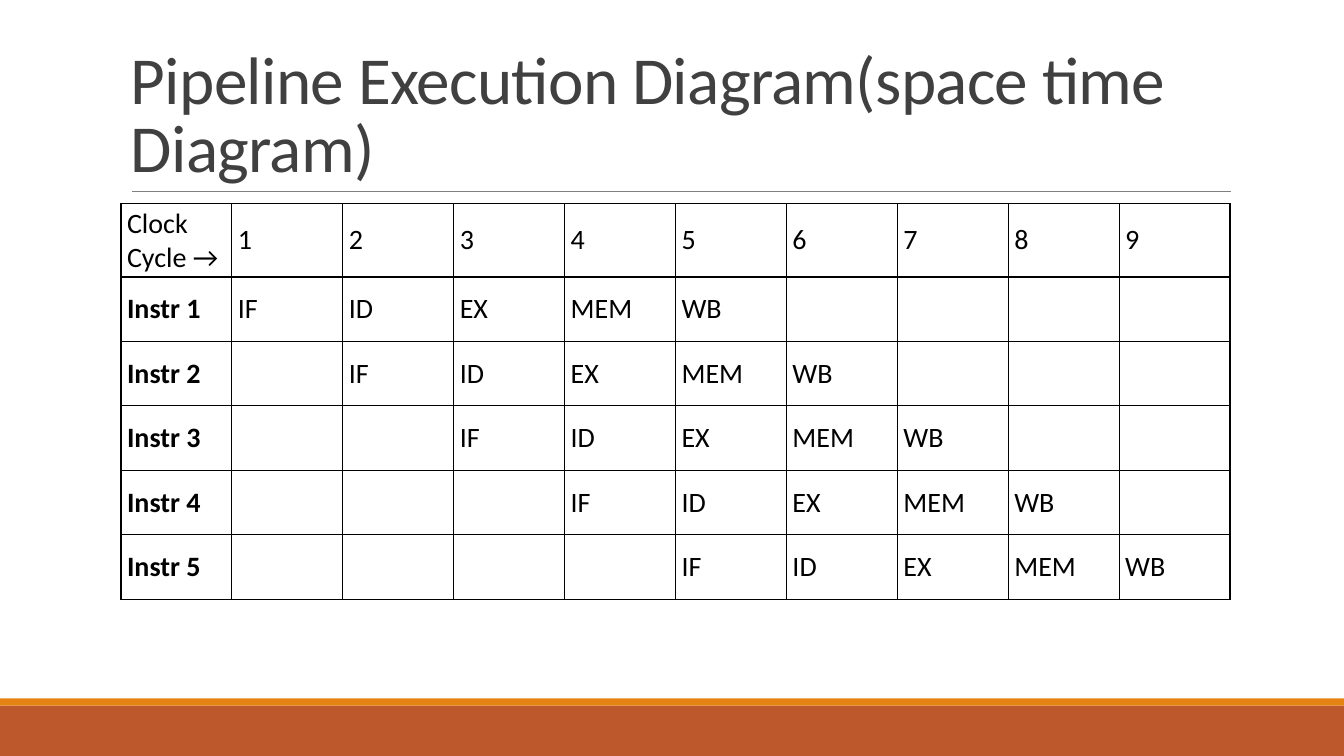
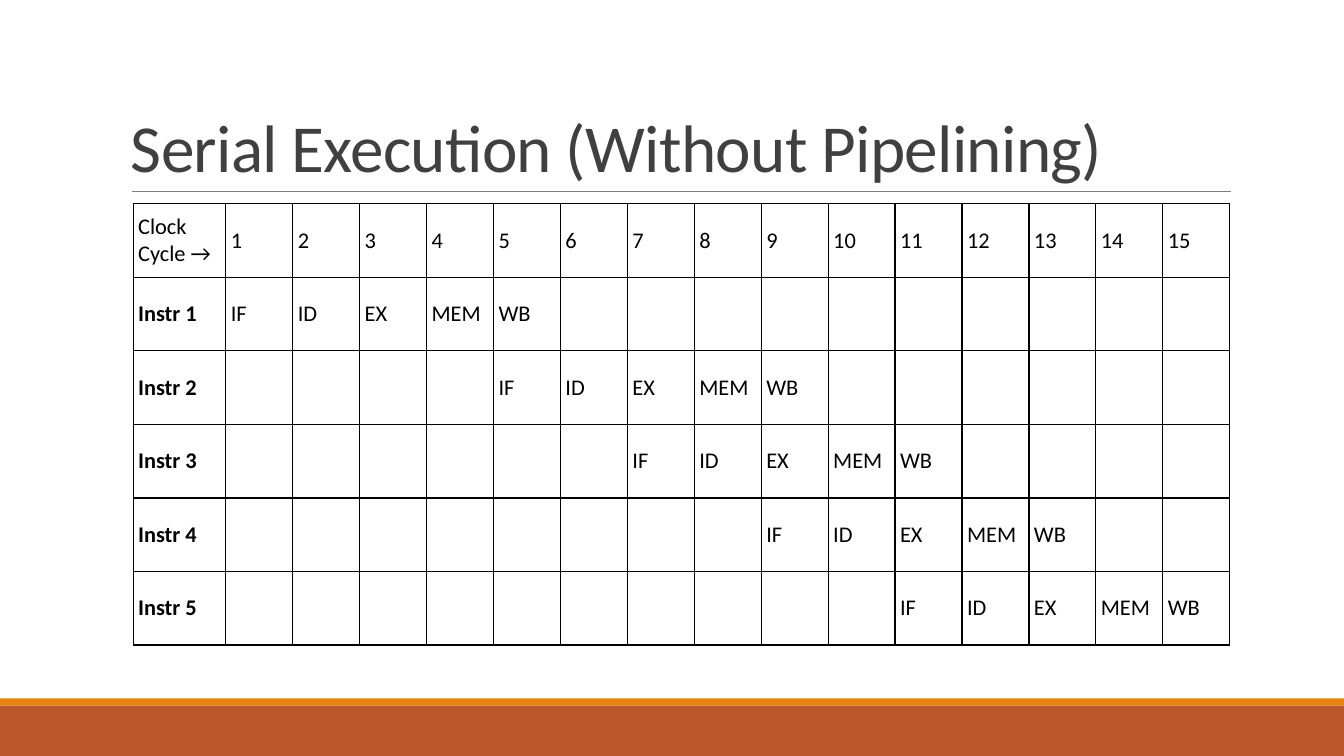
from lxml.etree import SubElement
from pptx import Presentation
from pptx.dml.color import RGBColor
from pptx.enum.shapes import MSO_CONNECTOR as Link, MSO_SHAPE as Shape
from pptx.enum.text import MSO_ANCHOR as Anchor
from pptx.oxml import parse_xml
from pptx.oxml.ns import nsdecls, qn
from pptx.util import Inches, Pt

STAGES = ["IF", "ID", "EX", "MEM", "WB"]


def color(code):
    return RGBColor.from_string(code)


class Deck:
    FONT = "Calibri"
    INK, TITLE, RULE, PAPER = "000000", "404040", "808080", "FFFFFF"
    RUST, AMBER = "BD582C", "E48312"
    WIDTH, HEIGHT = 13.33, 7.5

    def __init__(self):
        self.prs = Presentation()
        self.prs.slide_width = Inches(self.WIDTH)
        self.prs.slide_height = Inches(self.HEIGHT)
        self.slide = None

    def add(self, title):
        """Start a slide with the shared bands, rule and title."""
        self.slide = self.prs.slides.add_slide(self.prs.slide_layouts[6])
        self.band(7, 0.5, self.RUST)
        self.band(6.93, 0.07, self.AMBER)
        self.rule(1.31, 12.21, 1.9)
        self.title(title)

    def band(self, top, height, fill):
        box = self.slide.shapes.add_shape(
            Shape.RECTANGLE, 0, Inches(top), Inches(self.WIDTH), Inches(height))
        box.shadow.inherit = False
        box.fill.solid()
        box.fill.fore_color.rgb = color(fill)
        box.line.fill.background()

    def rule(self, left, right, top):
        line = self.slide.shapes.add_connector(
            Link.STRAIGHT, Inches(left), Inches(top), Inches(right), Inches(top))
        line.line.color.rgb = color(self.RULE)
        line.line.width = Pt(0.5)
        SubElement(line._element.spPr, qn("a:effectLst"))

    def style(self, para, size, ink, bold=False):
        for run in para.runs:
            font = run.font
            font.name, font.size, font.bold = self.FONT, Pt(size), bold
            font.color.rgb = color(ink)

    def title(self, text):
        box = self.slide.shapes.add_textbox(
            Inches(1.2), Inches(0.31), Inches(11), Inches(1.59))
        frame = box.text_frame
        frame.word_wrap = True
        frame.vertical_anchor = Anchor.BOTTOM
        frame.text = text
        para = frame.paragraphs[0]
        para.line_spacing = 0.85
        self.style(para, 48, self.TITLE)
        para.runs[0].font._element.set("spc", "-50")

    def border(self, cell):
        props = cell._tc.get_or_add_tcPr()
        for i, side in enumerate("LRTB"):
            props.insert(i, parse_xml(
                f'<a:ln{side} {nsdecls("a")} w="{Pt(1)}"><a:solidFill>'
                f'<a:srgbClr val="{self.INK}"/></a:solidFill></a:ln{side}>'))

    def cell(self, cell, text, size, pad, bold):
        cell.fill.solid()
        cell.fill.fore_color.rgb = color(self.PAPER)
        self.border(cell)
        cell.vertical_anchor = Anchor.MIDDLE
        cell.margin_left = cell.margin_right = Inches(pad)
        cell.margin_top = cell.margin_bottom = Inches(0.03)
        if text:
            cell.text_frame.text = text
            self.style(cell.text_frame.paragraphs[0], size, self.INK, bold)

    def chart(self, left, width, first, row, starts, size, pad):
        """Draw a table of stages by clock cycle; starts holds each first cycle."""
        count = starts[-1] + len(STAGES) - 1
        rows = [["Clock Cycle →", *map(str, range(1, count + 1))]]
        for num, start in enumerate(starts, 1):
            line = [f"Instr {num}"] + [""] * count
            line[start:start + len(STAGES)] = STAGES
            rows.append(line)
        table = self.slide.shapes.add_table(
            len(rows), count + 1, Inches(left), Inches(2.02),
            Inches(width), Inches(row * len(rows))).table
        table.first_row = table.horz_banding = False
        for i, col in enumerate(table.columns):
            col.width = Inches((width - first) / count if i else first)
        for r, line in enumerate(rows):
            table.rows[r].height = Inches(row)
            for c, text in enumerate(line):
                self.cell(table.cell(r, c), text, size, pad, r > 0 and c == 0)


def main():
    deck = Deck()
    deck.add("Pipeline Execution Diagram(space time Diagram)")
    deck.chart(1.2, 11, 1.1, 0.64, [1, 2, 3, 4, 5], size=20, pad=0.06)
    deck.add("Serial Execution (Without Pipelining)")
    deck.chart(1.32, 10.88, 0.92, 0.73, [1, 5, 7, 9, 11], size=16, pad=0.05)
    deck.prs.save("out.pptx")


if __name__ == "__main__":
    main()
